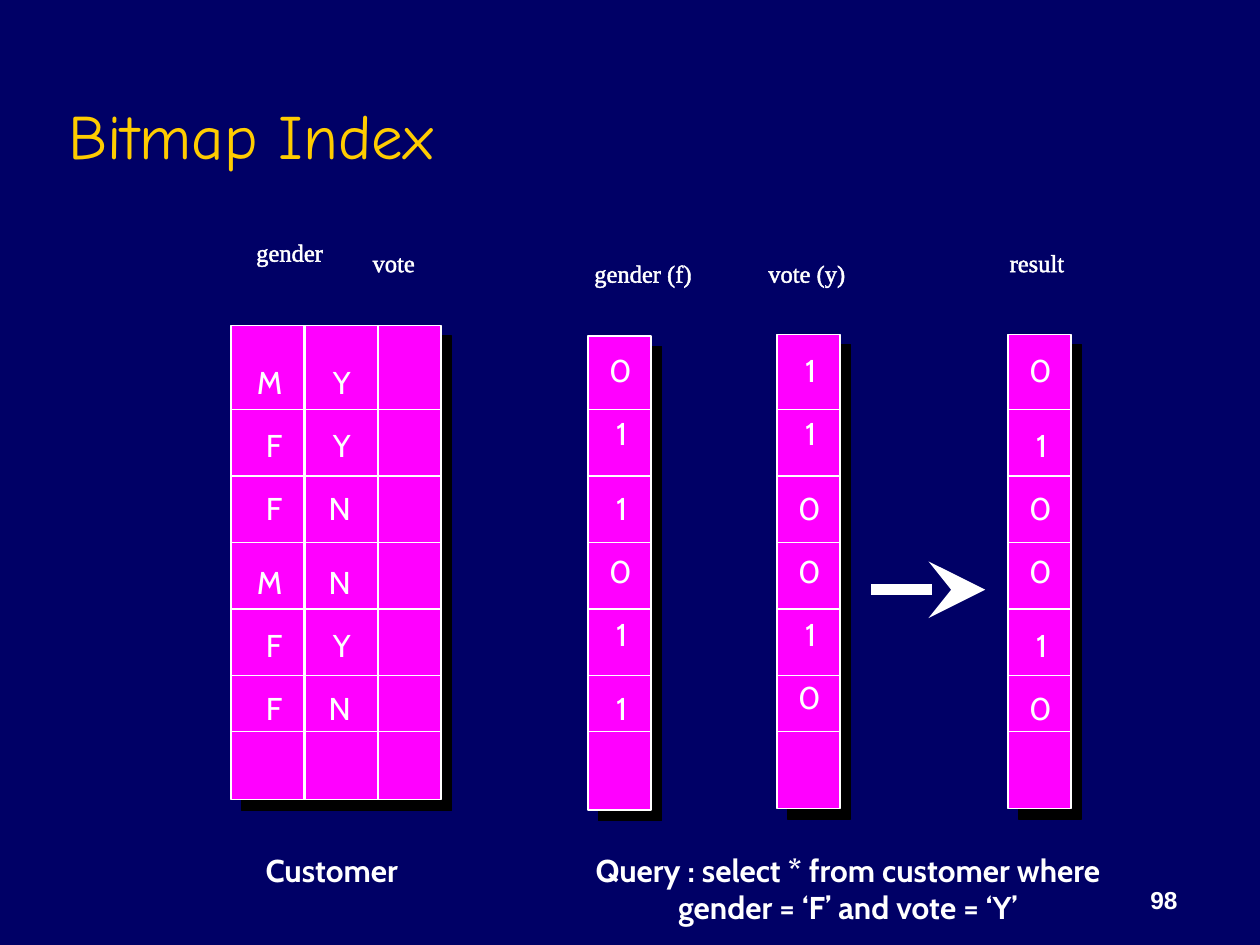
from lxml import etree
from pptx import Presentation
from pptx import util as u
from pptx.dml.color import RGBColor
from pptx.enum import shapes, text
from pptx.oxml import ns

NAVY = RGBColor(0x00, 0x00, 0x66)
MAGENTA = RGBColor(0xFF, 0x00, 0xFF)
WHITE = RGBColor(0xFF, 0xFF, 0xFF)
GOLD = RGBColor(0xFF, 0xCC, 0x00)

ROW_LINES = (234, 272, 310, 348, 386, 418)
TABLE_HEIGHT = 271
BITMAP_WIDTH = 36
CUSTOMER_LEFT, CUSTOMER_TOP, CUSTOMER_WIDTH = 132, 186, 120


def add_xml(parent, tag, **attributes):
    return etree.SubElement(parent, ns.qn(tag), attributes)


def add_text(slide, left, top, width, height, content, font, size,
             color=WHITE, bold=False, align=text.PP_ALIGN.CENTER,
             anchor=text.MSO_ANCHOR.TOP, wrap=True):
    box = slide.shapes.add_textbox(u.Pt(left), u.Pt(top), u.Pt(width), u.Pt(height))
    frame = box.text_frame
    frame.word_wrap = wrap
    frame.vertical_anchor = anchor
    frame.text = content
    for paragraph in frame.paragraphs:
        paragraph.alignment = align
        paragraph.font.name = font
        paragraph.font.size = u.Pt(size)
        paragraph.font.bold = bold
        paragraph.font.color.rgb = color
    return frame


def add_label(slide, left, top, width, content):
    frame = add_text(slide, left, top, width, 41, content, "Times New Roman", 14, wrap=False)
    properties = frame.paragraphs[0].runs[0]._r.get_or_add_rPr()
    outline = add_xml(properties, "a:ln", w=str(u.Pt(0.75)))
    fill = add_xml(outline, "a:solidFill")
    add_xml(fill, "a:srgbClr", val=str(WHITE))


def add_line(slide, x1, y1, x2, y2, width=0.75):
    line = slide.shapes.add_connector(
        shapes.MSO_CONNECTOR.STRAIGHT, u.Pt(x1), u.Pt(y1), u.Pt(x2), u.Pt(y2))
    line.line.color.rgb = WHITE
    line.line.width = u.Pt(width)
    add_xml(line._element.spPr, "a:effectLst")
    return line


def add_arrow(slide, x1, x2, y):
    arrow = add_line(slide, x1, y, x2, y, 6.5)
    add_xml(arrow.line._get_or_add_ln(), "a:tailEnd", type="stealth", w="lg", len="lg")


def add_grid(slide, left, top, width):
    panel = slide.shapes.add_shape(
        shapes.MSO_SHAPE.RECTANGLE, u.Pt(left), u.Pt(top), u.Pt(width), u.Pt(TABLE_HEIGHT))
    panel.fill.solid()
    panel.fill.fore_color.rgb = MAGENTA
    panel.line.color.rgb = WHITE
    panel.line.width = u.Pt(0.75)
    panel.shadow.inherit = False
    effects = panel._element.spPr.find(ns.qn("a:effectLst"))
    shadow = add_xml(effects, "a:outerShdw", dist=str(u.Pt(8.5)), dir="2700000",
                     algn="ctr", rotWithShape="0")
    add_xml(shadow, "a:srgbClr", val="000000")
    for y in ROW_LINES:
        add_line(slide, left, y, left + width, y)


def add_values(slide, left, width, values, tops):
    for value, top in zip(values, tops):
        add_text(slide, left, top, width, 29, value, "Cabin", 18,
                 align=text.PP_ALIGN.RIGHT)


def add_bitmap(slide, left, top, bits, tops):
    add_grid(slide, left, top, BITMAP_WIDTH)
    add_values(slide, left + 5, 24.5, bits, tops)


def add_customer_table(slide):
    add_grid(slide, CUSTOMER_LEFT, CUSTOMER_TOP, CUSTOMER_WIDTH)
    for x in (174, 216):
        add_line(slide, x, CUSTOMER_TOP, x, CUSTOMER_TOP + TABLE_HEIGHT, 1.5)
    tops = (204, 240, 276, 318, 354, 390)
    add_values(slide, 138.5, 30, "MFFMFF", tops)
    add_values(slide, 179.5, 28, "YYNNYN", tops)


def main():
    presentation = Presentation()
    presentation.slide_width = u.Pt(720)
    presentation.slide_height = u.Pt(540)
    slide = presentation.slides.add_slide(presentation.slide_layouts[6])
    slide.background.fill.solid()
    slide.background.fill.fore_color.rgb = NAVY

    add_text(slide, 32, 18, 612, 84, "Bitmap Index", "Comic Neue", 36, GOLD,
             align=text.PP_ALIGN.LEFT, anchor=text.MSO_ANCHOR.BOTTOM)
    add_customer_table(slide)
    add_bitmap(slide, 336, 192, "011011", (197, 233, 276, 312, 348, 390))
    add_bitmap(slide, 444, 191, "110010", (197, 233, 276, 312, 348, 384))
    add_bitmap(slide, 576, 191, "010010", (197, 240, 276, 312, 354, 390))
    add_arrow(slide, 498, 563, 337)

    for left, top, width, content in (
            (137, 132, 57, "gender"), (203, 138, 44, "vote"),
            (329, 144, 77, "gender (f)"), (431, 144, 60, "vote (y)"),
            (568, 138, 49, "result")):
        add_label(slide, left, top, width, content)

    add_text(slide, 132.5, 482.5, 102, 29, "Customer", "Cabin", 18, bold=True,
             align=text.PP_ALIGN.RIGHT)
    add_text(slide, 309, 482.5, 351, 50,
             "Query : select * from customer where\ngender = ‘F’ and vote = ‘Y’",
             "Cabin", 18, bold=True)
    add_text(slide, 530, 490, 150, 36, "98", "Arial", 14, bold=True,
             align=text.PP_ALIGN.RIGHT, anchor=text.MSO_ANCHOR.BOTTOM)
    presentation.save("out.pptx")


if __name__ == "__main__":
    main()
